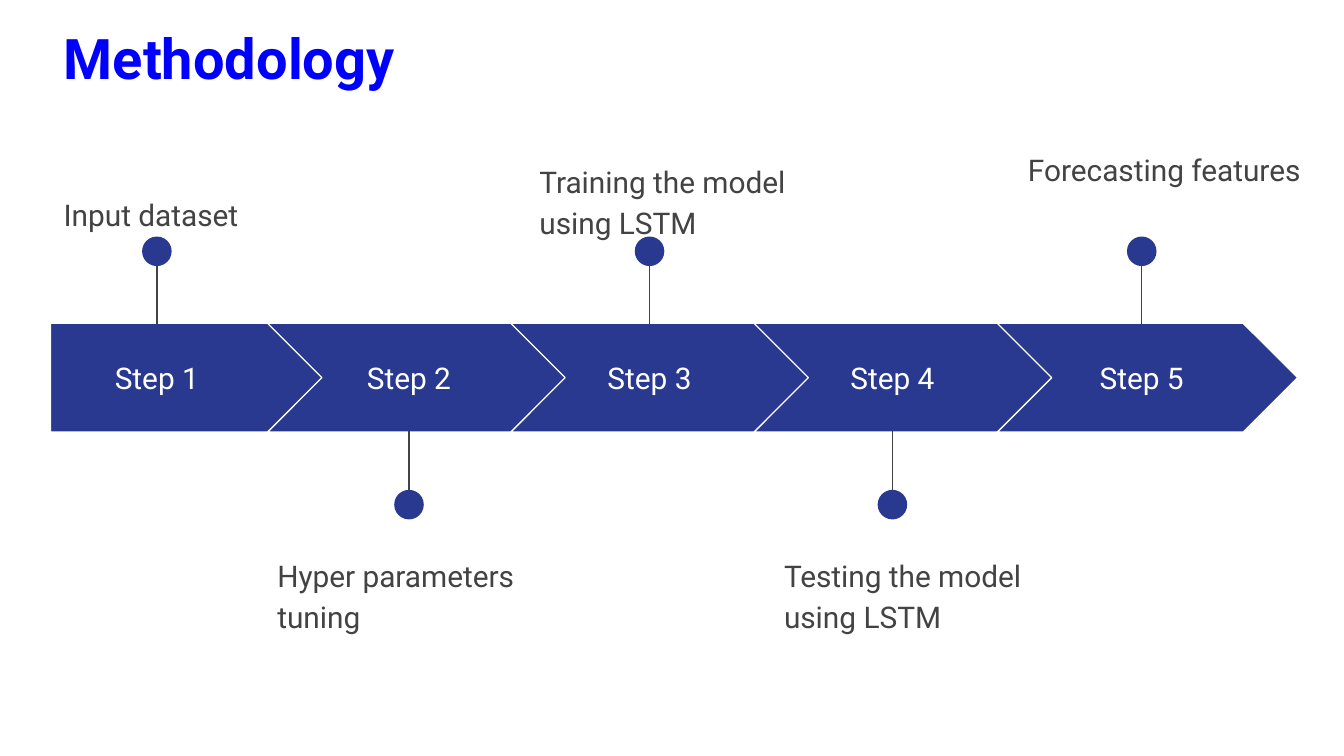
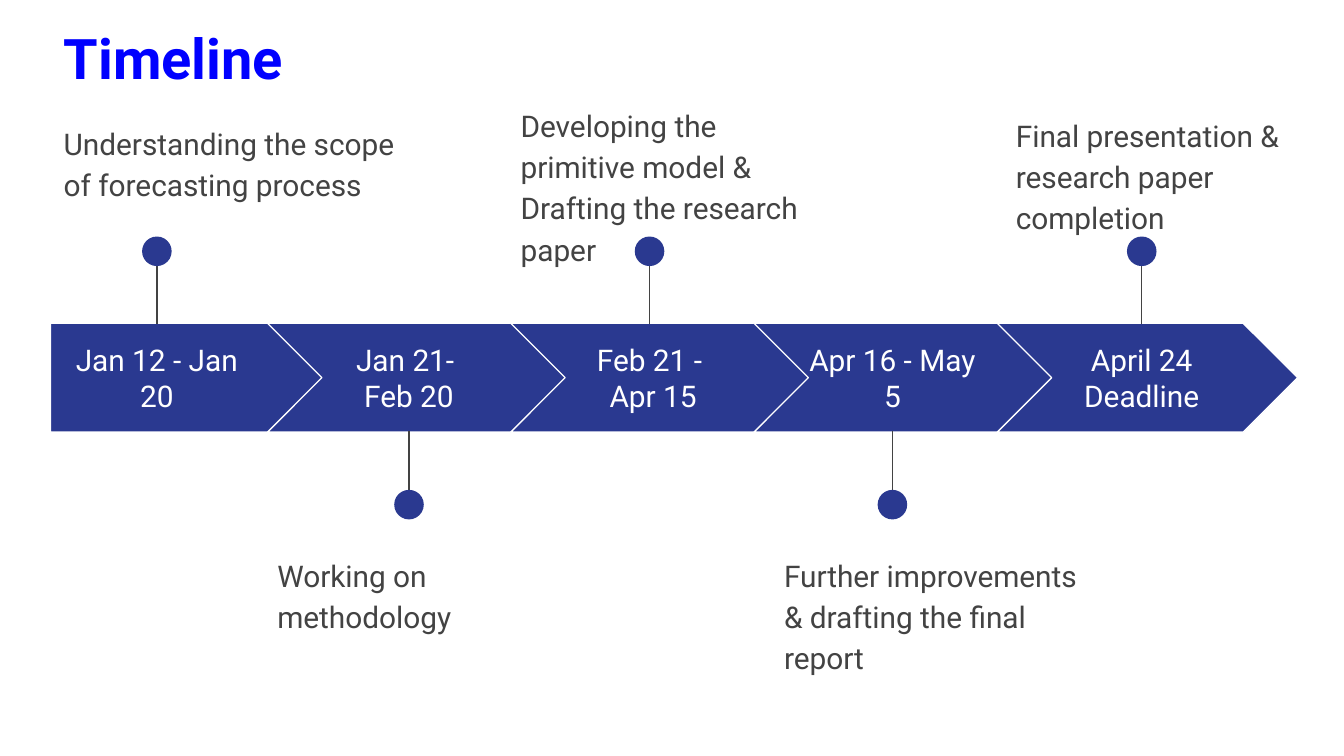
"""Build the methodology and timeline slides as five-step arrow bands."""
from dataclasses import dataclass
from typing import Any

from lxml import etree
from pptx import Presentation
from pptx.dml.color import RGBColor
from pptx.enum.shapes import MSO_CONNECTOR, MSO_SHAPE
from pptx.enum.text import MSO_ANCHOR, MSO_AUTO_SIZE, PP_ALIGN
from pptx.oxml.ns import qn
from pptx.util import Inches, Pt

PENTAGON, CHEVRON, OVAL = MSO_SHAPE.PENTAGON, MSO_SHAPE.CHEVRON, MSO_SHAPE.OVAL
STRAIGHT = MSO_CONNECTOR.STRAIGHT
TOP, MIDDLE = MSO_ANCHOR.TOP, MSO_ANCHOR.MIDDLE
LEFT, CENTER = PP_ALIGN.LEFT, PP_ALIGN.CENTER
NO_AUTOFIT = MSO_AUTO_SIZE.NONE

SLIDE_WIDTH = Inches(10)
SLIDE_HEIGHT = SLIDE_WIDTH * 9 // 16
COLUMN, ROW = SLIDE_WIDTH / 100, SLIDE_HEIGHT / 56.25
TITLE_ONLY_LAYOUT = 5
COLORS = {"title": "0000FF", "band": "2A3990", "text": "434343", "white": "FFFFFF"}

BAND_LEFT, BAND_TOP, BAND_HEIGHT = 3.75, 24.05, 8.1
FIRST_WIDTH, CHEVRON_LEFT, CHEVRON_WIDTH, PITCH = 20.5, 19.9, 22.35, 18.1
STEP_CENTERS = (11.67, 30.43, 48.33, 66.4, 84.95)
LABEL_TOP, LABEL_HEIGHT = 25.55, 5.1
FIRST_LABEL_WIDTH, LABEL_WIDTH = 15.9, 14.4
DOT_SIZE, DOT_TOPS = 2.2, (17.6, 36.45)
STEM_ENDS = ((18, 24.1), (38.2, 32.1))
NOTE_WIDTH, NOTE_HEIGHT = 24.5, 9.9

FRAME_FORMAT = {
    "word_wrap": True, "auto_size": NO_AUTOFIT,
    "margin_left": Inches(0.1), "margin_right": Inches(0.1),
    "margin_top": Inches(0.1), "margin_bottom": Inches(0.1),
}


@dataclass(frozen=True)
class Box:
    """Hold a place on the grid of columns and rows."""
    left: float
    top: float
    width: float
    height: float

    def lengths(self) -> tuple[int, int, int, int]:
        """Return the left, top, width and height as lengths."""
        return (round(self.left * COLUMN), round(self.top * ROW),
                round(self.width * COLUMN), round(self.height * ROW))


@dataclass(frozen=True)
class TextStyle:
    """Describe how a text block looks."""
    color: str
    size: int = 16
    bold: bool = False
    alignment: PP_ALIGN = LEFT
    anchor: MSO_ANCHOR = TOP
    line_spacing: float = 1.15


@dataclass(frozen=True)
class Step:
    """Describe one step: its label lines, its note and the note's place."""
    label: tuple[str, ...]
    note: str
    note_left: float
    note_top: float
    note_width: float = NOTE_WIDTH
    note_height: float = NOTE_HEIGHT


@dataclass(frozen=True)
class Process:
    """Describe one slide: its title and its steps."""
    title: str
    steps: tuple[Step, ...]


TITLE_BOX = Box(BAND_LEFT, 0, 27.8, 8)
TITLE_STYLE = TextStyle("title", size=30, bold=True)
LABEL_STYLE = TextStyle("white", alignment=CENTER, anchor=MIDDLE, line_spacing=1.0)
NOTE_STYLE = TextStyle("text")

PROCESSES = (
    Process("Methodology", (
        Step(("Step 1",), "Input dataset", BAND_LEFT, 13.25, 27.8, 8),
        Step(("Step 2",), "Hyper parameters tuning", 19.65, 40.1),
        Step(("Step 3",), "Training the model using LSTM", 39.15, 10.8),
        Step(("Step 4",), "Testing the model using LSTM", 57.35, 40.1),
        Step(("Step 5",), "Forecasting features", 75.5, 9.9),
    )),
    Process("Timeline", (
        Step(("Jan 12 - Jan 20",),
             "Understanding the scope of forecasting process", BAND_LEFT, 7.95, 27.8),
        Step(("Jan 21- ", "Feb 20"), "Working on methodology", 19.65, 40.1),
        Step(("Feb 21 -", " Apr 15"),
             "Developing the primitive model & Drafting the research paper",
             37.75, 6.62, note_height=13.2),
        Step(("Apr 16 - May 5",),
             "Further improvements & drafting the final report", 57.35, 40.1),
        Step(("April 24 Deadline",),
             "Final presentation & research paper completion", 74.6, 7.35),
    )),
)


def apply_format(target: Any, values: dict[str, Any]) -> None:
    """Set each named attribute of the target."""
    for name, value in values.items():
        setattr(target, name, value)


def color_of(name: str) -> RGBColor:
    """Return the named colour."""
    return RGBColor.from_string(COLORS[name])


def write_text(shape: Any, lines: tuple[str, ...], style: TextStyle) -> None:
    """Write the lines into the shape, one paragraph each."""
    frame = shape.text_frame
    apply_format(frame, FRAME_FORMAT | {"vertical_anchor": style.anchor})
    for index, line in enumerate(lines):
        paragraph = frame.add_paragraph() if index else frame.paragraphs[0]
        apply_format(paragraph, {"alignment": style.alignment,
                                 "line_spacing": style.line_spacing,
                                 "space_before": Pt(0)})
        run = paragraph.add_run()
        run.text = line
        apply_format(run.font, {"name": "Roboto", "size": Pt(style.size),
                                "bold": style.bold})
        run.font.color.rgb = color_of(style.color)


def add_text(slide: Any, box: Box, lines: tuple[str, ...], style: TextStyle) -> None:
    """Add a text box."""
    write_text(slide.shapes.add_textbox(*box.lengths()), lines, style)


def add_filled_shape(shapes: Any, kind: MSO_SHAPE, box: Box) -> Any:
    """Add a shape in the band colour without an outline."""
    shape = shapes.add_shape(kind, *box.lengths())
    shape.shadow.inherit = False
    shape.fill.solid()
    shape.fill.fore_color.rgb = color_of("band")
    shape.line.fill.background()
    return shape


def set_line(line: Any, color: str) -> None:
    """Give a line its colour and width."""
    line.color.rgb = color_of(color)
    line.width = Pt(0.75)


def add_pin(slide: Any, center: float, side: int) -> None:
    """Add a stem with a dot, above the band for side 0 and below for side 1."""
    shapes = slide.shapes.add_group_shape().shapes
    start, end = STEM_ENDS[side]
    x = round(center * COLUMN)
    stem = shapes.add_connector(STRAIGHT, x, round(start * ROW), x, round(end * ROW))
    set_line(stem.line, "text")
    etree.SubElement(stem.element.spPr, qn("a:effectLst"))
    add_filled_shape(shapes, OVAL, Box(center - DOT_SIZE / 2, DOT_TOPS[side],
                                       DOT_SIZE, DOT_SIZE))


def add_step(slide: Any, index: int, step: Step) -> None:
    """Add one arrow of the band with its label, pin and note."""
    center = STEP_CENTERS[index]
    if index:
        kind, width, label_width = CHEVRON, CHEVRON_WIDTH, LABEL_WIDTH
        left = CHEVRON_LEFT + (index - 1) * PITCH
    else:
        kind, width, label_width = PENTAGON, FIRST_WIDTH, FIRST_LABEL_WIDTH
        left = BAND_LEFT
    arrow = add_filled_shape(slide.shapes, kind, Box(left, BAND_TOP, width, BAND_HEIGHT))
    set_line(arrow.line, "white")
    label_box = Box(center - label_width / 2, LABEL_TOP, label_width, LABEL_HEIGHT)
    add_text(slide, label_box, step.label, LABEL_STYLE)
    add_pin(slide, center, index % 2)
    note_box = Box(step.note_left, step.note_top, step.note_width, step.note_height)
    add_text(slide, note_box, (step.note,), NOTE_STYLE)


def add_process(presentation: Any, process: Process) -> None:
    """Add a slide with a title and a band of steps."""
    slide = presentation.slides.add_slide(presentation.slide_layouts[TITLE_ONLY_LAYOUT])
    title = slide.shapes.title
    places = ("left", "top", "width", "height")
    apply_format(title, dict(zip(places, TITLE_BOX.lengths())))
    write_text(title, (process.title,), TITLE_STYLE)
    for index, step in enumerate(process.steps):
        add_step(slide, index, step)


def main() -> None:
    """Build and save the presentation."""
    presentation = Presentation()
    apply_format(presentation, {"slide_width": SLIDE_WIDTH, "slide_height": SLIDE_HEIGHT})
    for process in PROCESSES:
        add_process(presentation, process)
    presentation.save("out.pptx")


if __name__ == "__main__":
    main()
